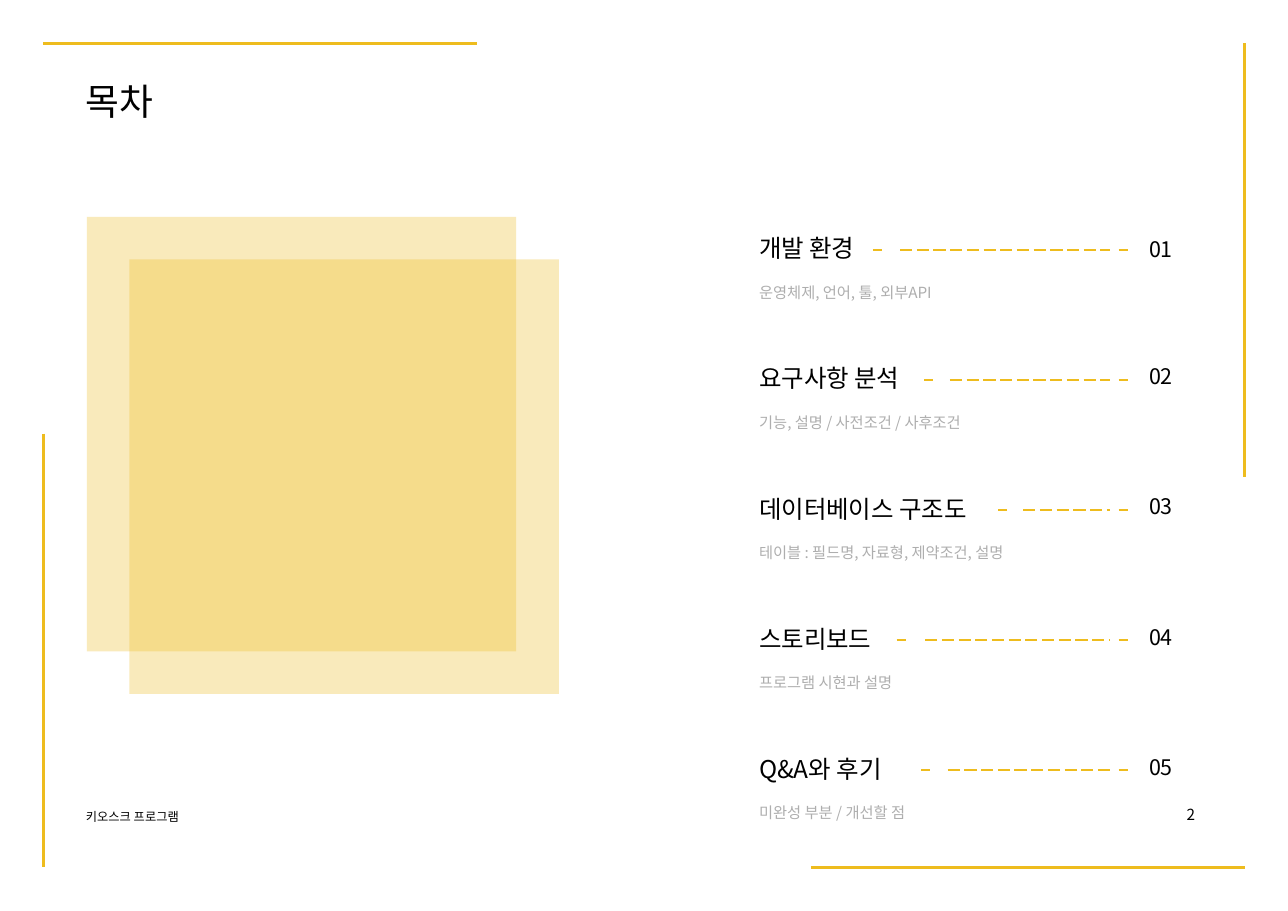
from pptx import Presentation
from pptx.dml.color import RGBColor
from pptx.enum.dml import MSO_LINE
from pptx.enum.shapes import MSO_CONNECTOR, MSO_SHAPE
from pptx.oxml.ns import qn
from pptx.util import Pt
from lxml.etree import SubElement

COLORS = {"gold": "EEBC1E", "ink": "000000", "grey": "AEAEAE"}
FONT = "Noto Sans CJK KR"

deck = Presentation()
deck.slide_width, deck.slide_height = Pt(841.68), Pt(595.44)
slide = deck.slides.add_slide(deck.slide_layouts[6])


def add_text(*lines, left, top, width, height):
    """Each line is (text, size, color, space before)."""
    box = slide.shapes.add_textbox(Pt(left), Pt(top), Pt(width), Pt(height))
    frame = box.text_frame
    frame.word_wrap = True
    frame.margin_left, frame.margin_top = Pt(0.7), Pt(0.7)
    frame.margin_right = frame.margin_bottom = 0
    for i, (text, size, color, before) in enumerate(lines):
        paragraph = frame.add_paragraph() if i else frame.paragraphs[0]
        paragraph.space_before = Pt(before)
        run = paragraph.add_run()
        run.text = text
        run.font.size = Pt(size)
        run.font.color.rgb = RGBColor.from_string(COLORS[color])
        run.font.name = FONT
        SubElement(run.font._element, qn("a:ea"), typeface=FONT)


def add_rule(x1, y1, x2, y2, weight, dash=None):
    rule = slide.shapes.add_connector(
        MSO_CONNECTOR.STRAIGHT, Pt(x1), Pt(y1), Pt(x2), Pt(y2))
    rule.line.color.rgb = RGBColor.from_string(COLORS["gold"])
    rule.line.width = Pt(weight)
    if dash:
        rule.line.dash_style = dash
    SubElement(rule._element.spPr, qn("a:effectLst"))


# Overlapping translucent panels
for left, top in [(56.7, 141.7), (84.6, 169.5)]:
    panel = slide.shapes.add_shape(
        MSO_SHAPE.RECTANGLE, Pt(left), Pt(top), Pt(280.6), Pt(284))
    panel.shadow.inherit = False
    panel.line.fill.background()
    panel.fill.solid()
    panel.fill.fore_color.rgb = RGBColor.from_string(COLORS["gold"])
    gold = panel._element.spPr.find(qn("a:solidFill"))[0]
    SubElement(gold, qn("a:alpha"), val="30000")

# Border rules
for ends in [(28.3, 28.3, 311.8, 28.3), (529.9, 566.9, 813.4, 566.9),
             (813.4, 28.3, 813.4, 311.8), (28.3, 283.5, 28.3, 566.9)]:
    add_rule(*ends, weight=2)

# Heading and footer
add_text(("목차", 24, "ink", 1), left=55.4, top=51.1, width=46.8, height=31)
add_text(("키오스크 프로그램", 8, "ink", 1),
         left=55.4, top=528.5, width=66, height=11.5)
add_text(("2", 10, "ink", 1), left=774.7, top=525.6, width=8, height=13.7)

# Contents: title, details, text width, leading tick, start of dashes
entries = [
    ("개발 환경", "운영체제, 언어, 툴, 외부API", 231, 570.5, 588.2),
    ("요구사항 분석", "기능, 설명 / 사전조건 / 사후조건", 231, 604, 620.8),
    ("데이터베이스 구조도", "테이블 : 필드명, 자료형, 제약조건, 설명", 167.8, 652.2, 668.7),
    ("스토리보드", "프로그램 시현과 설명", 91.5, 586, 604.6),
    ("Q&A와 후기", "미완성 부분 / 개선할 점", 102.2, 602, 619.3),
]
ROW_TOP, ROW_PITCH, TICK = 151.9, 85, 6
for i, (title, details, width, tick_x, dash_x) in enumerate(entries):
    top = ROW_TOP + i * ROW_PITCH
    leader_y = top + 11.5
    add_text((title, 16, "ink", 1), (details, 10, "grey", 13.4),
             left=495.4, top=top, width=width, height=46.8)
    add_rule(tick_x, leader_y, tick_x + TICK, leader_y, weight=1)
    add_rule(dash_x, leader_y, 725.5, leader_y, weight=1, dash=MSO_LINE.LONG_DASH)
    add_rule(731, leader_y, 731 + TICK, leader_y, weight=1)
    number_top = top if i else top + 1.5
    add_text((f"{i + 1:02}", 14, "ink", 1),
             left=750.2, top=number_top, width=18.7, height=18.7)

deck.save("out.pptx")
